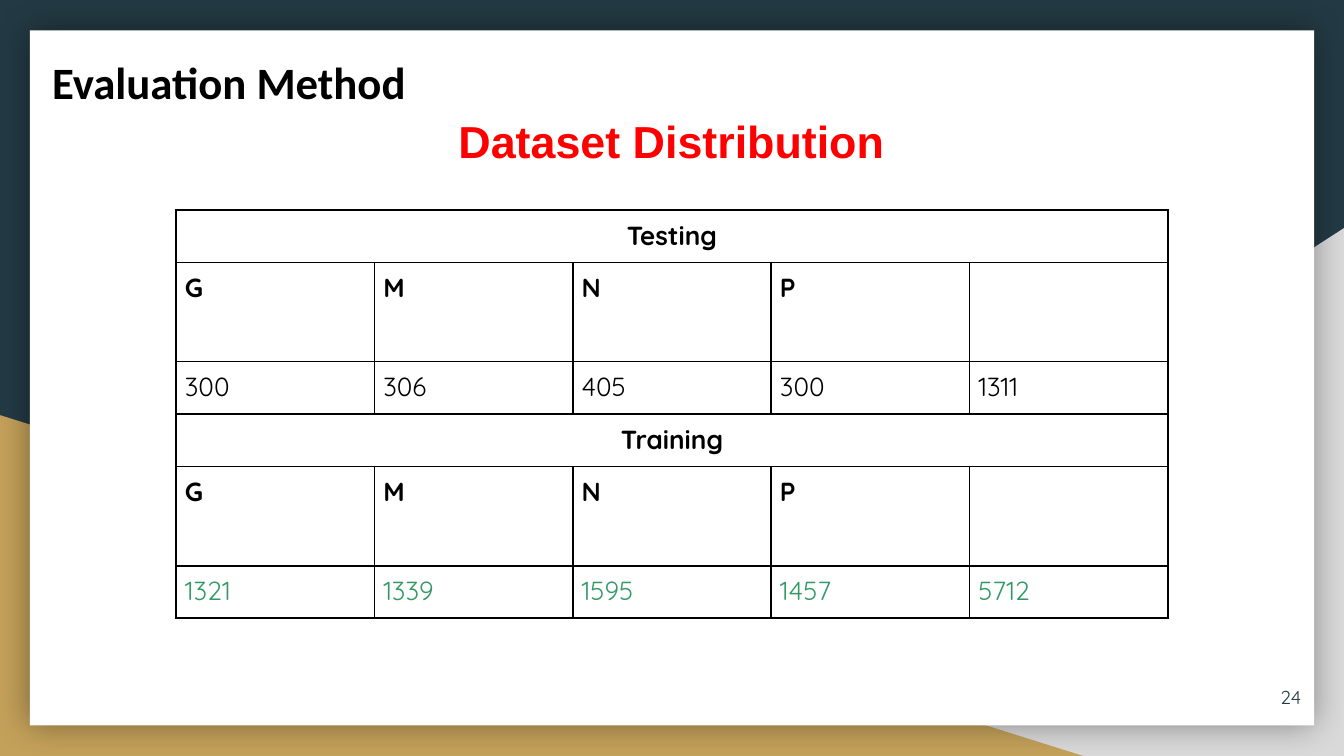
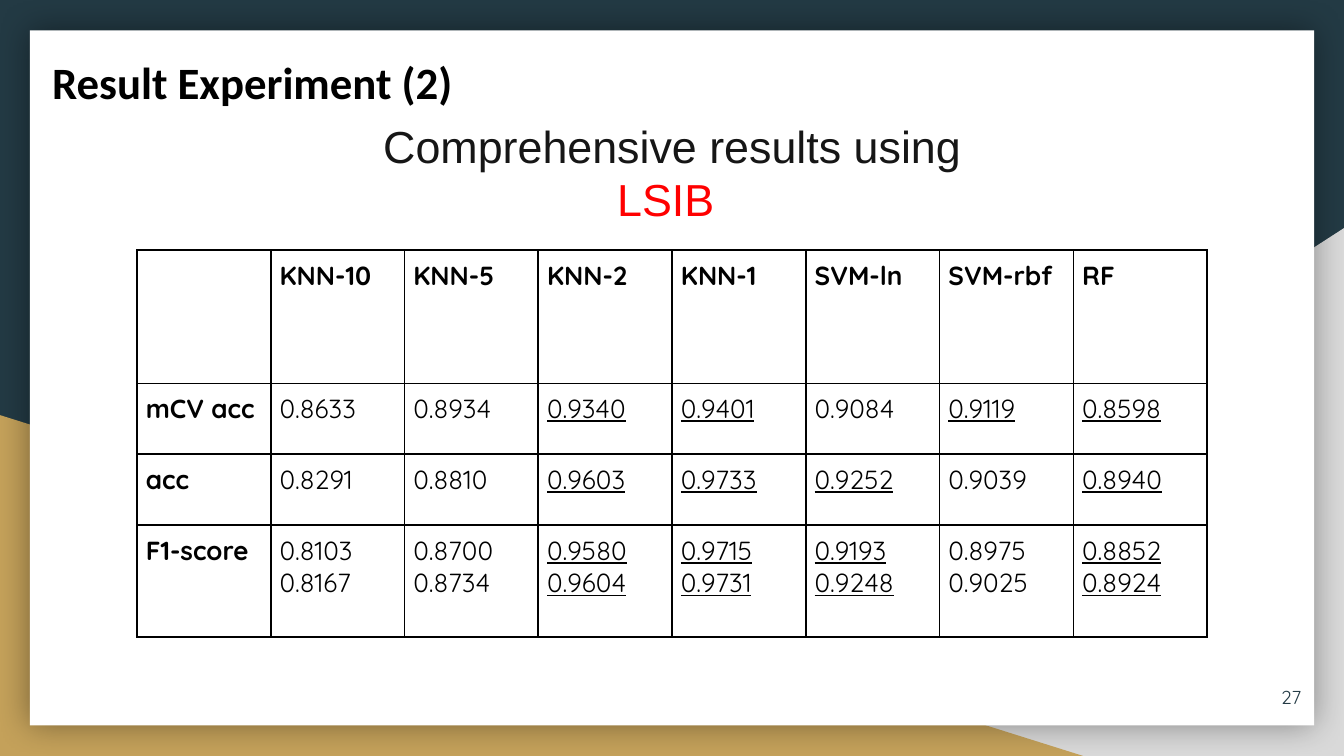
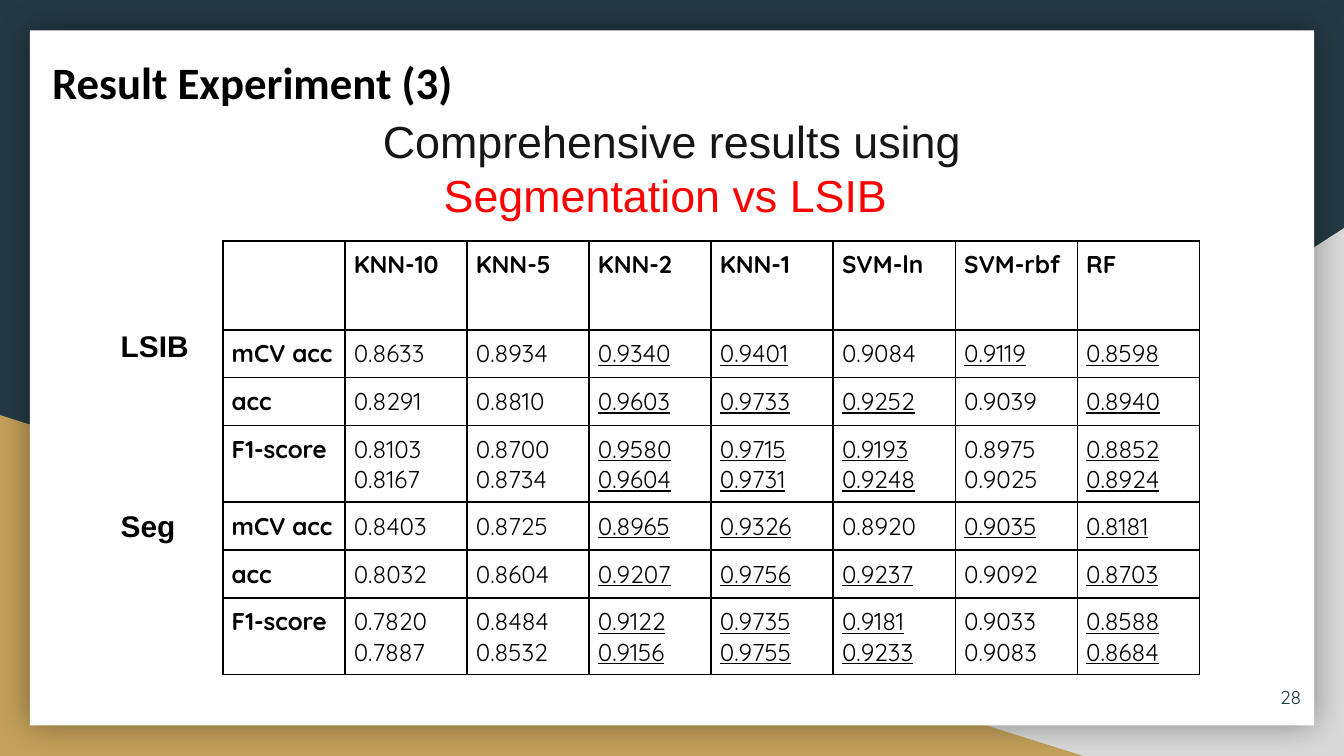
"""Build three slides on the data split and the classifier results."""
from dataclasses import dataclass

from lxml import etree
from pptx import Presentation
from pptx.dml.color import RGBColor as RGB
from pptx.enum.shapes import MSO_SHAPE as SHAPE
from pptx.enum.text import MSO_ANCHOR as ANCHOR, MSO_AUTO_SIZE as FIT, PP_ALIGN as ALIGN
from pptx.oxml.ns import qn
from pptx.util import Pt


@dataclass(frozen=True)
class Theme:
    navy: str = "233A44"
    grey: str = "D9D9D9"
    gold: str = "C4A15A"
    white: str = "FFFFFF"
    black: str = "000000"
    ink: str = "161616"
    red: str = "FF0000"
    green: str = "339966"
    title_font: str = "Calibri"
    head_font: str = "Arial"
    body_font: str = "Quicksand"
    title_size: int = 24
    label_size: int = 16
    number_size: int = 10
    cell_margin: float = 4.75


T = Theme()
W, H = 720, 405

CLASSES = ["G", "M", "N", "P", ""]
SPLITS = [
    ("Testing", ["300", "306", "405", "300", "1311"], T.black),
    ("Training", ["1321", "1339", "1595", "1457", "5712"], T.green),
]

MODELS = ["KNN-10", "KNN-5", "KNN-2", "KNN-1", "SVM-ln", "SVM-rbf", "RF"]
UNDERLINED = {
    "mCV acc": {"KNN-2", "KNN-1", "SVM-rbf", "RF"},
    "acc": {"KNN-2", "KNN-1", "SVM-ln", "RF"},
    "F1-score": {"KNN-2", "KNN-1", "SVM-ln", "RF"},
}
LSIB = [
    ("mCV acc", ["0.8633", "0.8934", "0.9340", "0.9401", "0.9084", "0.9119", "0.8598"]),
    ("acc", ["0.8291", "0.8810", "0.9603", "0.9733", "0.9252", "0.9039", "0.8940"]),
    ("F1-score", ["0.8103 0.8167", "0.8700 0.8734", "0.9580 0.9604", "0.9715 0.9731",
                  "0.9193 0.9248", "0.8975 0.9025", "0.8852 0.8924"]),
]
SEG = [
    ("mCV acc", ["0.8403", "0.8725", "0.8965", "0.9326", "0.8920", "0.9035", "0.8181"]),
    ("acc", ["0.8032", "0.8604", "0.9207", "0.9756", "0.9237", "0.9092", "0.8703"]),
    ("F1-score", ["0.7820 0.7887", "0.8484 0.8532", "0.9122 0.9156", "0.9735 0.9755",
                  "0.9181 0.9233", "0.9033 0.9083", "0.8588 0.8684"]),
]


def split_rows():
    rows = []
    for name, counts, color in SPLITS:
        rows.append([dict(lines=[name], bold=True, align=ALIGN.CENTER, span=len(CLASSES))])
        rows.append([dict(lines=[c] if c else [], bold=True) for c in CLASSES])
        rows.append([dict(lines=[n], color=color) for n in counts])
    return rows


def score_rows(scores):
    rows = [[dict(lines=[])] + [dict(lines=[m], bold=True) for m in MODELS]]
    for label, values in scores:
        rows.append([dict(lines=[label], bold=True)] + [
            dict(lines=v.split(), underline=m in UNDERLINED[label])
            for m, v in zip(MODELS, values)])
    return rows


COMPREHENSIVE = ("Comprehensive results using ", T.ink, False)
SLIDES = [
    dict(title="Evaluation Method", number=24,
         heading=[("Dataset Distribution", T.red, True)], heading_box=(213.8, 57.6, 291.6, 36),
         rows=split_rows(), table_box=(94.3, 112.5, 531.4), size=14,
         heights=[28.1, 53.2, 28.1] * 2, labels=[]),
    dict(title="Result Experiment (2)", number=27,
         heading=[COMPREHENSIVE, ("LSIB ", T.red, False)], heading_box=(194.4, 59.8, 331.2, 65.5),
         rows=score_rows(LSIB), table_box=(73.4, 134, 573.3), size=14,
         heights=[71.4, 38, 38, 59.8], labels=[]),
    dict(title="Result Experiment (3)", number=28,
         heading=[COMPREHENSIVE, ("Segmentation vs LSIB ", T.red, False)],
         heading_box=(192.4, 57.6, 334.8, 65.5),
         rows=score_rows(LSIB + SEG), table_box=(119.4, 129, 523.2), size=13,
         heights=[47.7] + [25.6, 25.6, 41.2] * 2,
         labels=[("LSIB", (57.6, 172.1, 59, 26.6)), ("Seg", (57.6, 268.6, 53.3, 26.6))]),
]


def add_run(p, text, font, size, color, bold=False, underline=False):
    r = p.add_run()
    r.text = text
    f = r.font
    f.name, f.size, f.color.rgb = font, Pt(size), RGB.from_string(color)
    f.bold, f.underline = bold, underline


def add_text(s, box, runs, font, size, align=ALIGN.LEFT, inset=(7.2, 3.6), anchor=ANCHOR.TOP,
             fit=FIT.SHAPE_TO_FIT_TEXT):
    tf = s.shapes.add_textbox(*map(Pt, box)).text_frame
    tf.word_wrap, tf.auto_size, tf.vertical_anchor = True, fit, anchor
    tf.margin_left = tf.margin_right = Pt(inset[0])
    tf.margin_top = tf.margin_bottom = Pt(inset[1])
    p = tf.paragraphs[0]
    p.alignment = align
    for text, color, bold in runs:
        add_run(p, text, font, size, color, bold)
    return p


def add_panel(s, kind, box, color):
    sp = s.shapes.add_shape(kind, *map(Pt, box))
    sp.shadow.inherit = False
    sp.fill.solid()
    sp.fill.fore_color.rgb = RGB.from_string(color)
    sp.line.fill.background()
    return sp


def add_frame(s):
    s.background.fill.solid()
    s.background.fill.fore_color.rgb = RGB.from_string(T.navy)
    right = add_panel(s, SHAPE.RIGHT_TRIANGLE, (282.2, 122.2, W - 282.2, H - 122.2), T.grey)
    right.element.spPr.find(qn("a:xfrm")).set("flipH", "1")
    add_panel(s, SHAPE.RIGHT_TRIANGLE, (0, 222.4, 580.3, H - 222.4), T.gold)
    card = add_panel(s, SHAPE.RECTANGLE, (16, 16.3, W - 32, 372.4), T.white)
    effects = card.element.spPr.find(qn("a:effectLst"))
    shadow = etree.SubElement(effects, qn("a:outerShdw"), blurRad=str(Pt(18)), dist="0",
                              algn="ctr", rotWithShape="0")
    tint = etree.SubElement(shadow, qn("a:srgbClr"), val=T.black)
    etree.SubElement(tint, qn("a:alpha"), val="40000")


def add_borders(cell):
    pr = cell._tc.get_or_add_tcPr()
    for i, side in enumerate(("lnL", "lnR", "lnT", "lnB")):
        ln = etree.Element(qn(f"a:{side}"), w=str(Pt(1)))
        fill = etree.SubElement(ln, qn("a:solidFill"))
        etree.SubElement(fill, qn("a:srgbClr"), val=T.black)
        pr.insert(i, ln)


def fill_cell(cell, size, lines, bold=False, underline=False, color=T.black, align=ALIGN.LEFT):
    cell.margin_left = cell.margin_right = Pt(T.cell_margin)
    cell.margin_top = cell.margin_bottom = Pt(T.cell_margin)
    tf = cell.text_frame
    for i, line in enumerate(lines):
        p = tf.add_paragraph() if i else tf.paragraphs[0]
        p.alignment = align
        add_run(p, line, T.body_font, size, color, bold, underline)


def add_grid(s, rows, box, heights, size):
    x, y, width = box
    count = max(len(row) for row in rows)
    frame = s.shapes.add_table(len(rows), count, Pt(x), Pt(y), Pt(width), Pt(sum(heights)))
    table = frame.table
    table.first_row = table.horz_banding = False
    for col in table.columns:
        col.width = Pt(width / count)
    for row, height in zip(table.rows, heights):
        row.height = Pt(height)
    for cell in table.iter_cells():
        cell.fill.background()
        add_borders(cell)
    for i, row in enumerate(rows):
        for j, content in enumerate(row):
            content = dict(content)
            span = content.pop("span", 1)
            cell = table.cell(i, j)
            if span > 1:
                cell.merge(table.cell(i, j + span - 1))
            fill_cell(cell, size, **content)


def add_slide(prs, d):
    s = prs.slides.add_slide(prs.slide_layouts[6])
    add_frame(s)
    p = add_text(s, (10.8, 22.3, 298.8, 43.9), [(d["title"], T.black, True)],
                 T.title_font, T.title_size, inset=(7.2, 7.2))
    pr = p._p.get_or_add_pPr()
    pr.set("marL", str(Pt(10)))
    pr.set("indent", "0")
    add_text(s, (661, 357.8, 43.2, 31), [(str(d["number"]), T.navy, False)], T.body_font,
             T.number_size, ALIGN.RIGHT, (7.2, 7.2), ANCHOR.MIDDLE, FIT.NONE)
    add_text(s, d["heading_box"], d["heading"], T.head_font, T.title_size, ALIGN.CENTER)
    add_grid(s, d["rows"], d["table_box"], d["heights"], d["size"])
    for text, box in d["labels"]:
        add_text(s, box, [(text, T.black, True)], T.head_font, T.label_size)


def main():
    prs = Presentation()
    prs.slide_width, prs.slide_height = Pt(W), Pt(H)
    for d in SLIDES:
        add_slide(prs, d)
    prs.save("out.pptx")


if __name__ == "__main__":
    main()
